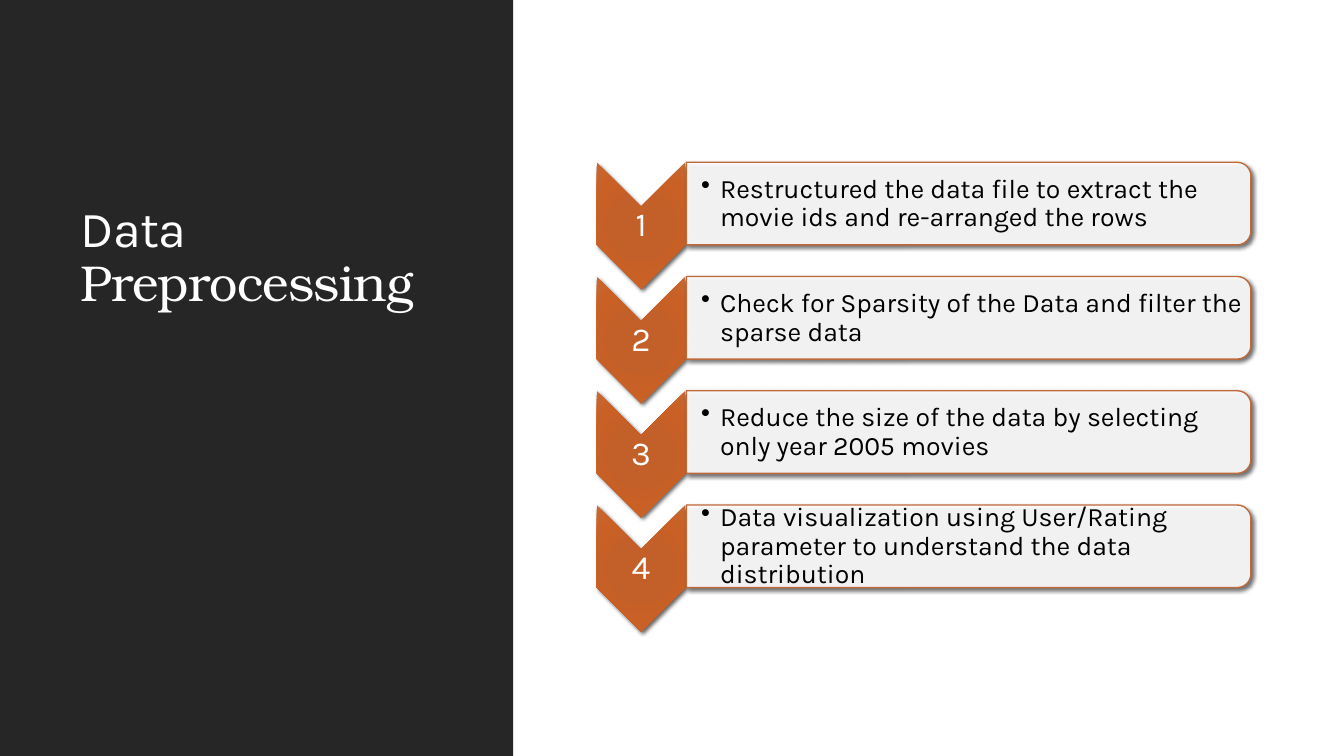
import pptx
import pptx.util
import pptx.dml.color
import pptx.enum.shapes
import pptx.enum.text
import pptx.oxml
import pptx.oxml.ns

Pt = pptx.util.Pt
SHAPE = pptx.enum.shapes.MSO_SHAPE
ALIGN = pptx.enum.text.PP_ALIGN
ANCHOR = pptx.enum.text.MSO_ANCHOR
qn = pptx.oxml.ns.qn
NS = 'xmlns:a="http://schemas.openxmlformats.org/drawingml/2006/main"'

HEADING = [("Data", "Karla"), (" Preprocessing", "TeX Gyre Bonum")]
STEPS = [
    "Restructured the data file to extract the movie ids and re-arranged the rows",
    "Check for Sparsity of the Data and filter the sparse data",
    "Reduce the size of the data by selecting only year 2005 movies",
    "Data visualization using User/Rating parameter to understand the data distribution",
]
CHEVRON_STOPS = [(0, "C45D25"), (34, "C35F28"), (70, "C96025"), (100, "C66834")]
PITCH = 81.6
CHEVRON_CENTRE, CHEVRON_SIZE = (457.9, 161.3), (90.7, 63.4)
CARD_CENTRE, CARD_SIZE = (691.9, 145.4), (59, 403.2)
NUMBER_BOX = (426.2, 147.7, 63.4, 27.4)
STEP_BOX = (490.3, 119, 400.3, 53.3)


def colour(value):
    return pptx.dml.color.RGBColor.from_string(value)


def apply(target, formats):
    for key, value in formats.items():
        setattr(target, key, value)


def lengths(values):
    return [Pt(value) for value in values]


def add_plain(kind, box, fill):
    part = slide.shapes.add_shape(kind, *lengths(box))
    part.shadow.inherit = False
    part.fill.solid()
    part.fill.fore_color.rgb = colour(fill)
    part.line.fill.background()
    return part


def add_turned(kind, centre, size, drop, fill):
    (x, y), (w, h) = centre, size
    part = add_plain(kind, (x - w / 2, y + drop - h / 2, w, h), fill)
    part.rotation = 90
    part._element.spPr.find(qn("a:effectLst")).append(pptx.oxml.parse_xml(
        f'<a:outerShdw {NS} blurRad="38100" dist="25400" dir="2700000" rotWithShape="0">'
        '<a:srgbClr val="000000"><a:alpha val="60000"/></a:srgbClr></a:outerShdw>'))
    return part


def add_run(paragraph, text, font, size, ink):
    run = paragraph.add_run()
    run.text = text
    apply(run.font, {"name": font, "size": Pt(size)})
    run.font.color.rgb = colour(ink)
    return run


def add_words(box, drop, text, size, ink, margins, align):
    left, top, width, height = box
    frame = slide.shapes.add_textbox(*lengths((left, top + drop, width, height))).text_frame
    sides = ("margin_left", "margin_top", "margin_right", "margin_bottom")
    apply(frame, dict(zip(sides, lengths(margins))))
    apply(frame, {"word_wrap": True, "vertical_anchor": ANCHOR.MIDDLE})
    paragraph = frame.paragraphs[0]
    apply(paragraph, {"line_spacing": 0.9, "alignment": align})
    add_run(paragraph, text, "Karla", size, ink)
    return paragraph


deck = pptx.Presentation()
apply(deck, {"slide_width": Pt(960), "slide_height": Pt(540)})
slide = deck.slides.add_slide(deck.slide_layouts[5])

add_plain(SHAPE.RECTANGLE, (0, 0, 366.5, 540), "262626")

heading = slide.shapes.title
slide.shapes._spTree.append(heading._element)
apply(heading, dict(zip(("left", "top", "width", "height"), lengths((50.4, 62, 277.2, 164.9)))))
apply(heading.text_frame, {"word_wrap": True, "vertical_anchor": ANCHOR.BOTTOM,
                           "auto_size": pptx.enum.text.MSO_AUTO_SIZE.NONE})
heading_line = heading.text_frame.paragraphs[0]
apply(heading_line, {"line_spacing": 0.9, "alignment": ALIGN.LEFT})
for words, face in HEADING:
    run = add_run(heading_line, words, face, 36, "FFFFFF")
    run.font._element.set("spc", "-50")

stops = "".join(f'<a:gs pos="{pos * 1000}"><a:srgbClr val="{value}"/></a:gs>'
                for pos, value in CHEVRON_STOPS)
gradient = (f'<a:gradFill {NS} rotWithShape="1"><a:gsLst>{stops}</a:gsLst><a:path path="circle">'
            '<a:fillToRect l="100000" t="100000" r="100000" b="100000"/></a:path></a:gradFill>')

for index, step in enumerate(STEPS):
    drop = index * PITCH

    chevron = add_turned(SHAPE.CHEVRON, CHEVRON_CENTRE, CHEVRON_SIZE, drop, CHEVRON_STOPS[0][1])
    properties = chevron._element.spPr
    properties.replace(properties.find(qn("a:solidFill")), pptx.oxml.parse_xml(gradient))
    add_words(NUMBER_BOX, drop, str(index + 1), 24, "FFFFFF", (1.2, 1.2, 1.2, 1.2), ALIGN.CENTER)

    card = add_turned(SHAPE.ROUND_2_SAME_RECTANGLE, CARD_CENTRE, CARD_SIZE, drop, "FFFFFF")
    card.line.color.rgb = colour("BF6A3B")
    card.line.width = Pt(1)
    tint = card._element.spPr.find(qn("a:solidFill"))[0]
    tint.append(pptx.oxml.parse_xml(f'<a:alpha {NS} val="90000"/>'))

    bullet = add_words(STEP_BOX, drop, step, 19, "000000", (10.6, 0.9, 0.9, 0.9), ALIGN.LEFT)
    layout = bullet._element.get_or_add_pPr()
    layout.set("marL", str(Pt(13.5)))
    layout.set("indent", str(Pt(-13.5)))
    layout.append(pptx.oxml.parse_xml(f'<a:buChar {NS} char="•"/>'))

deck.save("out.pptx")
